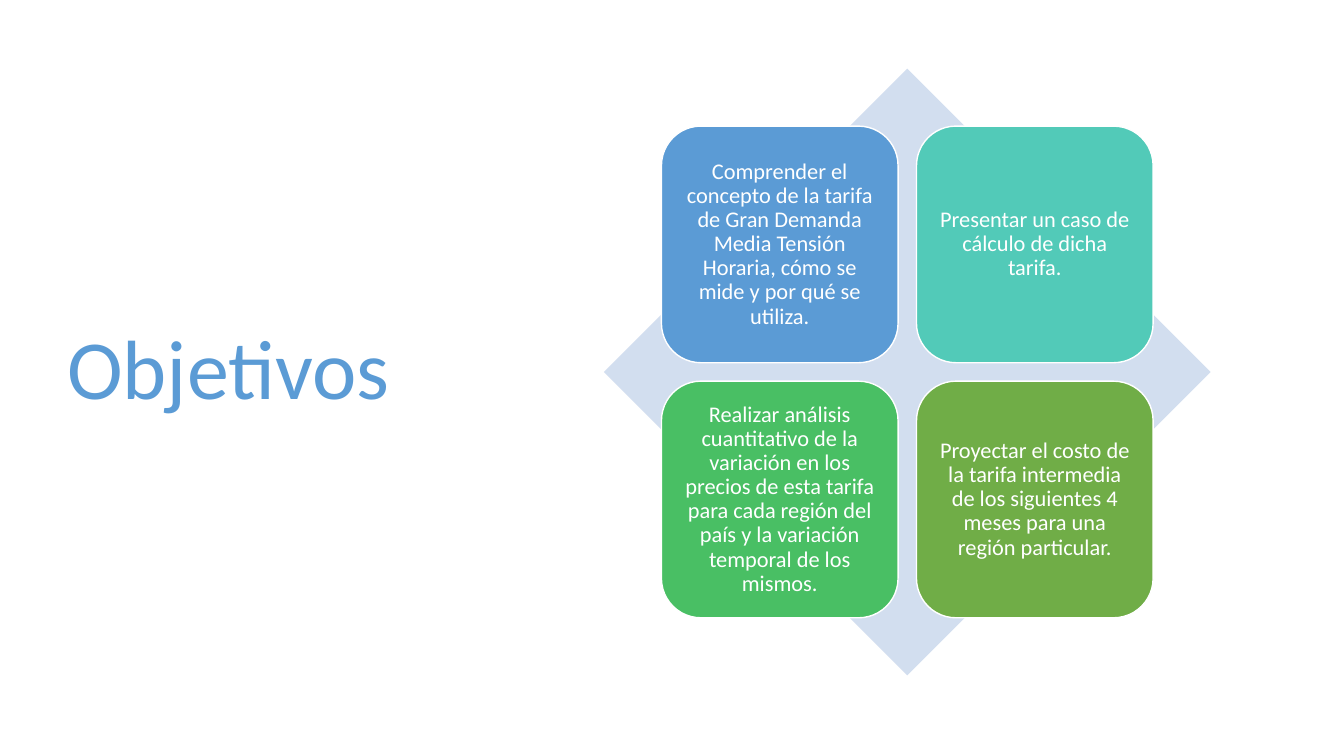
"""Build the Objetivos slide: a title beside a four-card matrix over a diamond."""
from dataclasses import dataclass

from pptx import Presentation
from pptx.dml.color import RGBColor
from pptx.enum import shapes, text
from pptx.shapes.autoshape import Shape
from pptx.slide import Slide
from pptx.util import Pt


@dataclass(frozen=True)
class Theme:
    """Colours, font and type sizes of the slide."""
    font: str = "Calibri"
    accent: str = "5B9BD5"
    teal: str = "52CAB8"
    green: str = "49BF64"
    olive: str = "70AD47"
    pale: str = "D2DEEF"
    white: str = "FFFFFF"
    title_size: float = 60
    card_size: float = 16


@dataclass(frozen=True)
class Box:
    """A rectangle in points."""
    left: float
    top: float
    width: float
    height: float


@dataclass(frozen=True)
class Goal:
    """One objective and the fill of its card."""
    wording: str
    fill: str


THEME = Theme()
TITLE = Box(41, 49, 299.5, 433.4)
DIAMOND = Box(431.4, 49, 433.4, 433.4)
CARD_SIDE = 169
CARD_GAP = 13.2
CARD_PADDING = 4.8
COLUMNS = 2
GOALS = (
    Goal("Comprender el concepto de la tarifa de Gran Demanda Media Tensión "
         "Horaria, cómo se mide y por qué se utiliza.", THEME.accent),
    Goal("Presentar un caso de cálculo de dicha tarifa.", THEME.teal),
    Goal("Realizar análisis cuantitativo de la variación en los precios de esta "
         "tarifa para cada región del país y la variación temporal de los mismos.",
         THEME.green),
    Goal("Proyectar el costo de la tarifa intermedia de los siguientes 4 meses "
         "para una región particular.", THEME.olive),
)


def place(box: Box) -> tuple[Pt, Pt, Pt, Pt]:
    """Return the box as lengths for python-pptx."""
    return Pt(box.left), Pt(box.top), Pt(box.width), Pt(box.height)


def write(holder: Shape, wording: str, *, size: float, color: str,
          align: text.PP_ALIGN, padding: float | None = None) -> None:
    """Write one vertically centred paragraph into a shape."""
    frame = holder.text_frame
    frame.word_wrap = True
    frame.vertical_anchor = text.MSO_ANCHOR.MIDDLE
    if padding is not None:
        frame.margin_left = frame.margin_right = Pt(padding)
        frame.margin_top = frame.margin_bottom = Pt(padding)
    paragraph = frame.paragraphs[0]
    paragraph.alignment = align
    paragraph.line_spacing = 0.9
    run = paragraph.add_run()
    run.text = wording
    run.font.name = THEME.font
    run.font.size = Pt(size)
    run.font.color.rgb = RGBColor.from_string(color)


def add_figure(slide: Slide, kind: shapes.MSO_SHAPE, box: Box, fill: str,
               outline: str | None = None) -> Shape:
    """Draw a filled preset shape, outlined if a colour is given."""
    figure = slide.shapes.add_shape(kind, *place(box))
    figure.shadow.inherit = False
    figure.fill.solid()
    figure.fill.fore_color.rgb = RGBColor.from_string(fill)
    if outline is None:
        figure.line.fill.background()
    else:
        figure.line.color.rgb = RGBColor.from_string(outline)
        figure.line.width = Pt(1)
    return figure


def card_box(index: int) -> Box:
    """Return the place of a card in the grid centred on the diamond."""
    row, column = divmod(index, COLUMNS)
    pitch = CARD_SIDE + CARD_GAP
    inset = (DIAMOND.width - CARD_SIDE - pitch) / 2
    return Box(DIAMOND.left + inset + column * pitch,
               DIAMOND.top + inset + row * pitch, CARD_SIDE, CARD_SIDE)


def main() -> None:
    """Build and save the slide."""
    deck = Presentation()
    deck.slide_width, deck.slide_height = Pt(960), Pt(540)
    slide = deck.slides.add_slide(deck.slide_layouts[6])

    heading = slide.shapes.add_textbox(*place(TITLE))
    write(heading, "Objetivos", size=THEME.title_size, color=THEME.accent,
          align=text.PP_ALIGN.LEFT)

    add_figure(slide, shapes.MSO_SHAPE.DIAMOND, DIAMOND, THEME.pale)
    for index, goal in enumerate(GOALS):
        card = add_figure(slide, shapes.MSO_SHAPE.ROUNDED_RECTANGLE,
                          card_box(index), goal.fill, THEME.white)
        write(card, goal.wording, size=THEME.card_size, color=THEME.white,
              align=text.PP_ALIGN.CENTER, padding=CARD_PADDING)

    deck.save("out.pptx")


if __name__ == "__main__":
    main()
